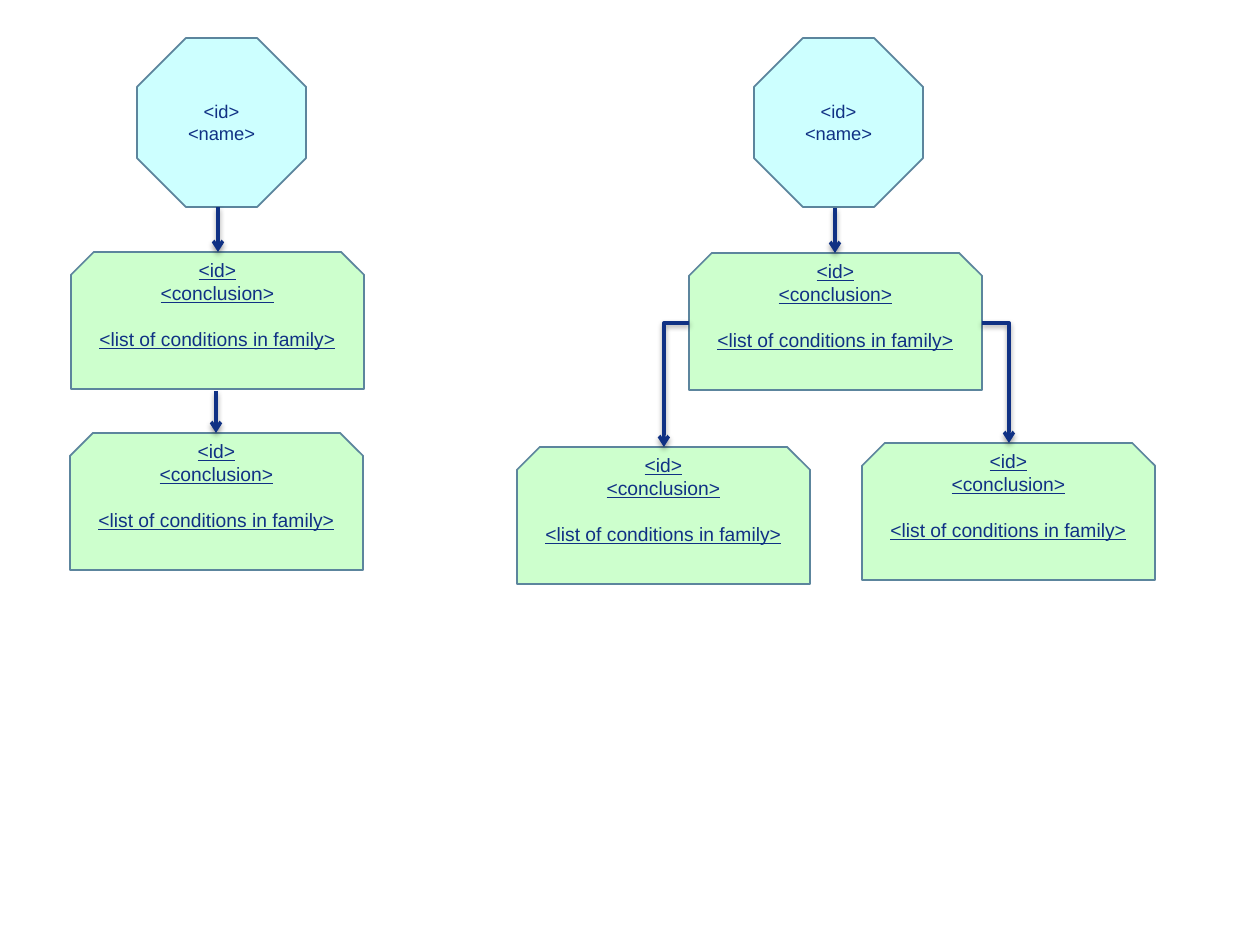
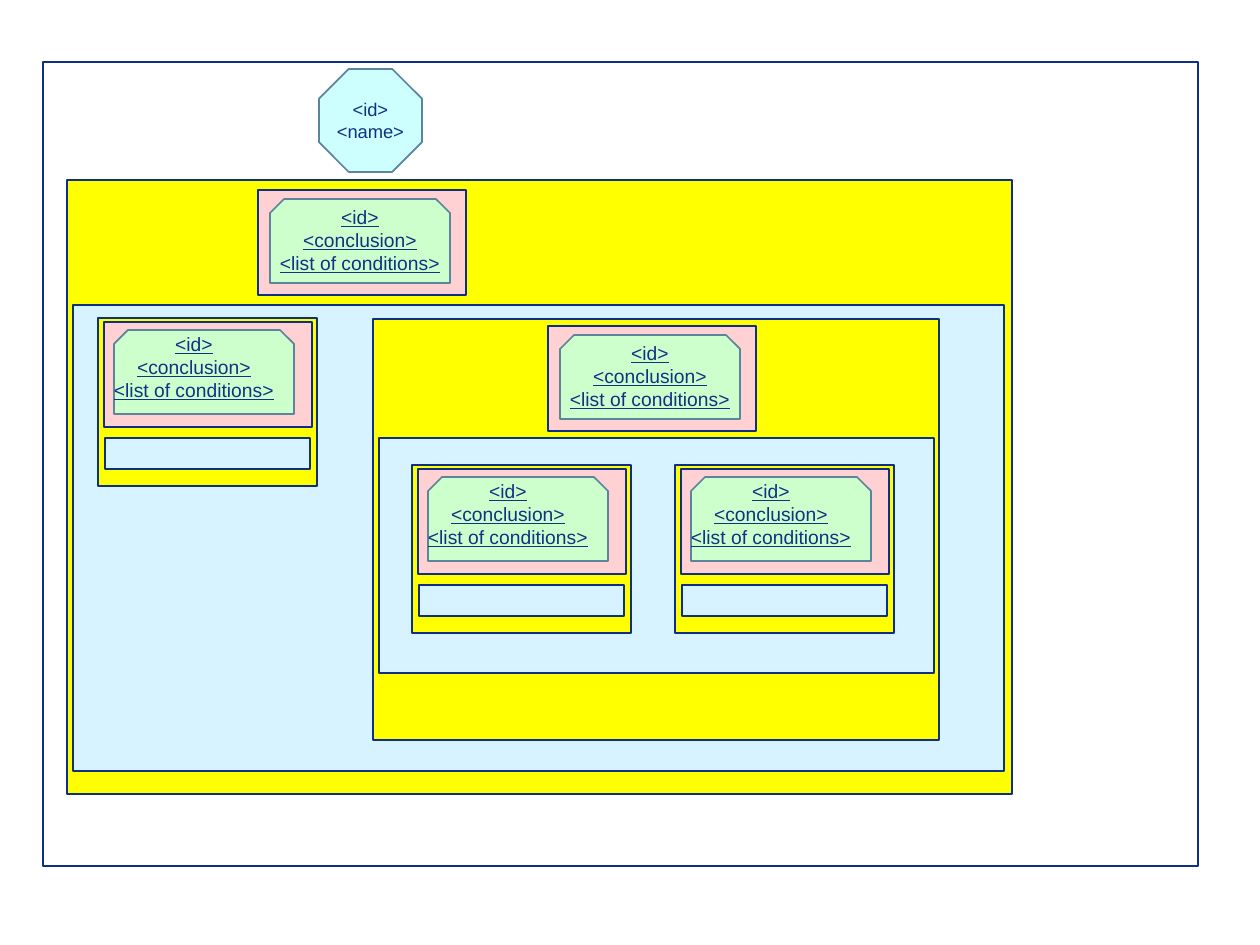
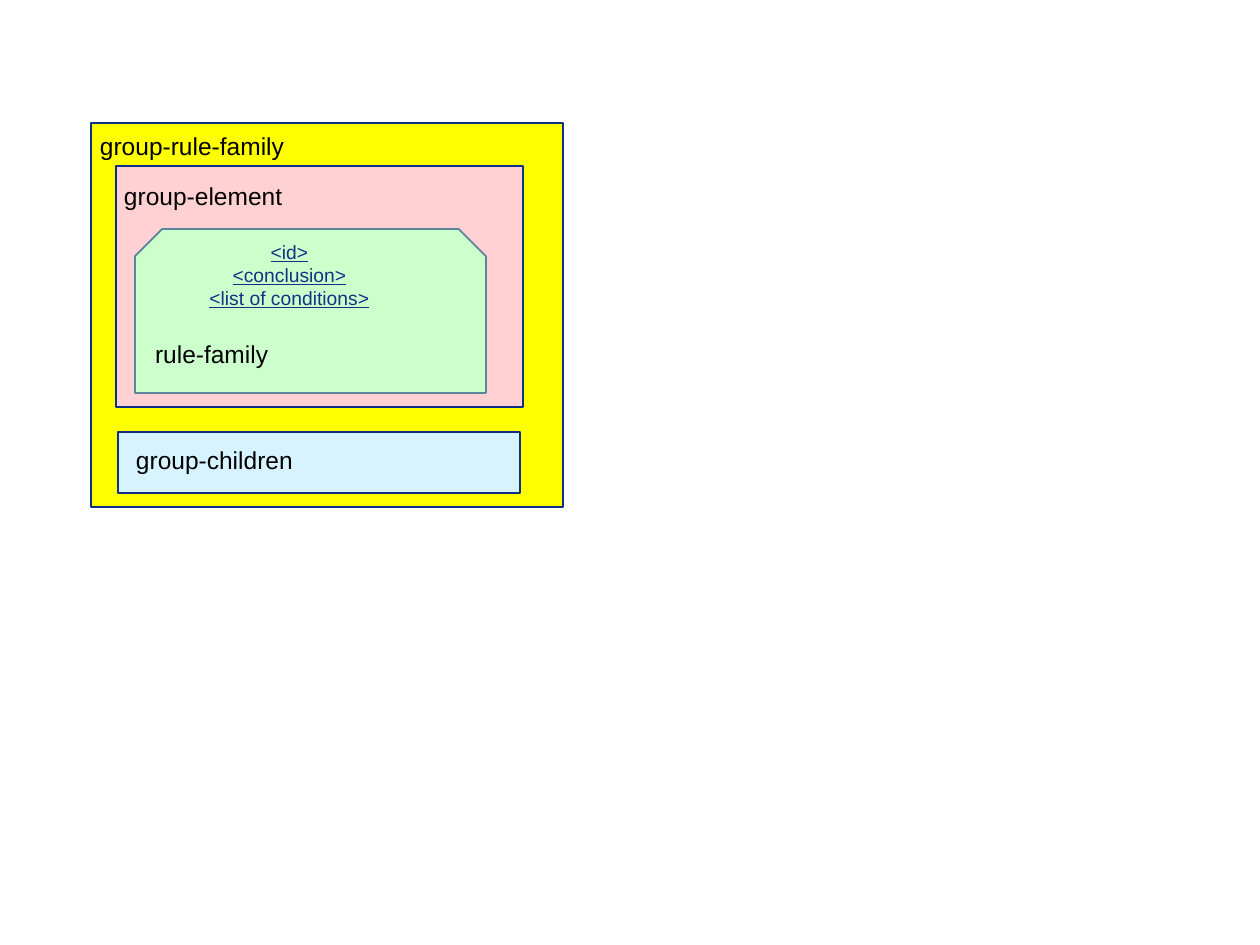
from pptx import Presentation
from pptx.dml.color import RGBColor
from pptx.enum.shapes import MSO_CONNECTOR as LINK, MSO_SHAPE as SHAPE
from pptx.enum.text import MSO_ANCHOR as ANCHOR, MSO_AUTO_SIZE as FIT, PP_ALIGN as ALIGN
from pptx.oxml import parse_xml
from pptx.oxml.ns import nsdecls, qn
from pptx.util import Pt

PX = 914400 / 126
FONT = "Arial"
NAVY = RGBColor(0x10, 0x31, 0x84)
EDGE = RGBColor(0x0D, 0x2F, 0x84)
STEEL = RGBColor(0x5C, 0x85, 0x9D)
CYAN = RGBColor(0xCD, 0xFF, 0xFF)
GREEN = RGBColor(0xCD, 0xFF, 0xCD)
YELLOW = RGBColor(0xFF, 0xFF, 0x00)
PINK = RGBColor(0xFF, 0xD1, 0xD3)
BLUE = RGBColor(0xD6, 0xF3, 0xFF)
BLACK = RGBColor(0, 0, 0)

# Content
NAME = ["<id>", "<name>"]
FAMILY = ["<id>", "<conclusion>", "<list of conditions in family>"]
RULE = ["<id>", "<conclusion>", "<list of conditions>"]

# Slide 1: flow of rule families
ROOTS = [(137, 38), (754, 38)]
CARDS = [(71, 252), (70, 433), (689, 253), (517, 447), (862, 443)]
ARROWS = [(218, 207, 218, 252), (216, 391, 216, 433), (835, 208, 835, 253)]
ELBOWS = [(982, 323, 1009, 443), (689, 323, 664, 447)]

# Slide 2: nested groups
FRAME = (43, 62, 1155, 804)
OUTER = [(YELLOW, (67, 180, 945, 614)), (BLUE, (73, 305, 931, 466))]
INNER = [(YELLOW, (373, 319, 566, 421)), (BLUE, (379, 438, 555, 235))]
HEADS = [(258, 190), (548, 326)]
LEAVES = [(98, 318), (412, 465), (675, 465)]

# Slide 3: legend
PARTS = [(YELLOW, (91, 123, 472, 384)), (PINK, (116, 166, 407, 241)),
         (BLUE, (118, 432, 402, 61))]
LABELS = [("group-rule-family", 100, 131, 188), ("group-element", 124, 181, 165),
          ("group-children", 136, 445, 164), ("rule-family", 155, 339, 117)]


def emu(*vals):
    return [round(v * PX) for v in vals]


def write(frame, lines, size=11, color=NAVY, align=ALIGN.CENTER, under=None, gap=0):
    """Fill a text frame; gap is the space in points above the last line."""
    for i, line in enumerate(lines):
        para = frame.paragraphs[0] if i == 0 else frame.add_paragraph()
        para.alignment = align
        run = para.add_run()
        run.text = line
        font = run.font
        font.name, font.size, font.underline = FONT, Pt(size), under
        font.color.rgb = color
    if gap:
        para.space_before = Pt(gap)


def text(shapes, lines, box, inset=True, **fmt):
    frame = shapes.add_textbox(*emu(*box)).text_frame
    frame.word_wrap = False
    frame.auto_size = FIT.SHAPE_TO_FIT_TEXT
    if not inset:
        frame.margin_left = frame.margin_right = 0
        frame.margin_top = frame.margin_bottom = 0
    write(frame, lines, **fmt)


def block(shapes, box, fill=None, kind=SHAPE.RECTANGLE, edge=EDGE, width=0.75):
    shape = shapes.add_shape(kind, *emu(*box))
    shape.shadow.inherit = False
    if fill is None:
        shape.fill.background()
    else:
        shape.fill.solid()
        shape.fill.fore_color.rgb = fill
    shape.line.color.rgb = edge
    shape.line.width = Pt(width)
    return shape


def root(shapes, x, y, side):
    shape = block(shapes, (x, y, side, side), CYAN, SHAPE.OCTAGON, STEEL, 1)
    shape.adjustments[0] = 0.289
    frame = shape.text_frame
    frame.vertical_anchor = ANCHOR.MIDDLE
    frame.margin_left = frame.margin_right = 0
    frame.margin_top, frame.margin_bottom = emu(5, 5)
    write(frame, NAME, size=10.5)


def card(shapes, box, lines, area, gap=0):
    block(shapes, box, GREEN, SHAPE.SNIP_2_SAME_RECTANGLE, STEEL, 1)
    text(shapes, lines, area, under=True, gap=gap)


def arrow(shapes, ends, bent=False):
    link = shapes.add_connector(LINK.ELBOW if bent else LINK.STRAIGHT, *emu(*ends))
    link.line.color.rgb = NAVY
    link.line.width = Pt(2)
    props = link._element.spPr
    if bent:
        props.find(qn("a:prstGeom")).set("prst", "bentConnector2")
    props.find(qn("a:ln")).append(parse_xml(f'<a:tailEnd {nsdecls("a")} type="arrow"/>'))
    props.append(parse_xml(
        f'<a:effectLst {nsdecls("a")}><a:outerShdw blurRad="40000" dist="20000" '
        'dir="5400000" rotWithShape="0"><a:srgbClr val="000000">'
        '<a:alpha val="38000"/></a:srgbClr></a:outerShdw></a:effectLst>'))


def element(shapes, x, y, dx=0, dy=0):
    """Pink box with a rule card; dx and dy shift the text against the card."""
    block(shapes, (x, y, 208, 105), PINK)
    left, top = (x + 10, y + 8) if dx else (x + 12, y + 9)
    card(shapes, (left, top, 180, 84), RULE, (left - 4 + dx, top + dy, 188, 84))


def leaf(shapes, x, y):
    block(shapes, (x, y, 219, 168), YELLOW)
    element(shapes, x + 6, y + 4, dx=-10, dy=-4)
    block(shapes, (x + 7, y + 120, 205, 31), BLUE)


def group(shapes):
    return shapes.add_group_shape().shapes


def flow(shapes):
    for x, y in ROOTS:
        root(shapes, x, y, 169)
    for x, y in CARDS:
        card(group(shapes), (x, y, 293, 137), FAMILY, (x + 15, y, 263, 106), gap=13)
    for ends in ARROWS:
        arrow(shapes, ends)
    for ends in ELBOWS:
        arrow(shapes, ends, bent=True)


def nest(shapes):
    root(shapes, 319, 69, 103)
    block(shapes, FRAME)
    for fill, box in OUTER + INNER:
        block(shapes, box, fill)
    for x, y in HEADS:
        element(group(shapes), x, y)
    for x, y in LEAVES:
        leaf(group(shapes), x, y)


def legend(shapes):
    parts = group(shapes)
    for fill, box in PARTS:
        block(parts, box, fill)
    card(parts, (135, 229, 351, 164), RULE, (107, 234, 365, 161))
    for label, x, y, width in LABELS:
        text(shapes, [label], (x, y, width, 30), inset=False,
             size=14, color=BLACK, align=ALIGN.LEFT)


def main():
    deck = Presentation()
    deck.slide_width, deck.slide_height = emu(1260, 945)
    for draw in (flow, nest, legend):
        draw(deck.slides.add_slide(deck.slide_layouts[6]).shapes)
    deck.save("out.pptx")


if __name__ == "__main__":
    main()
